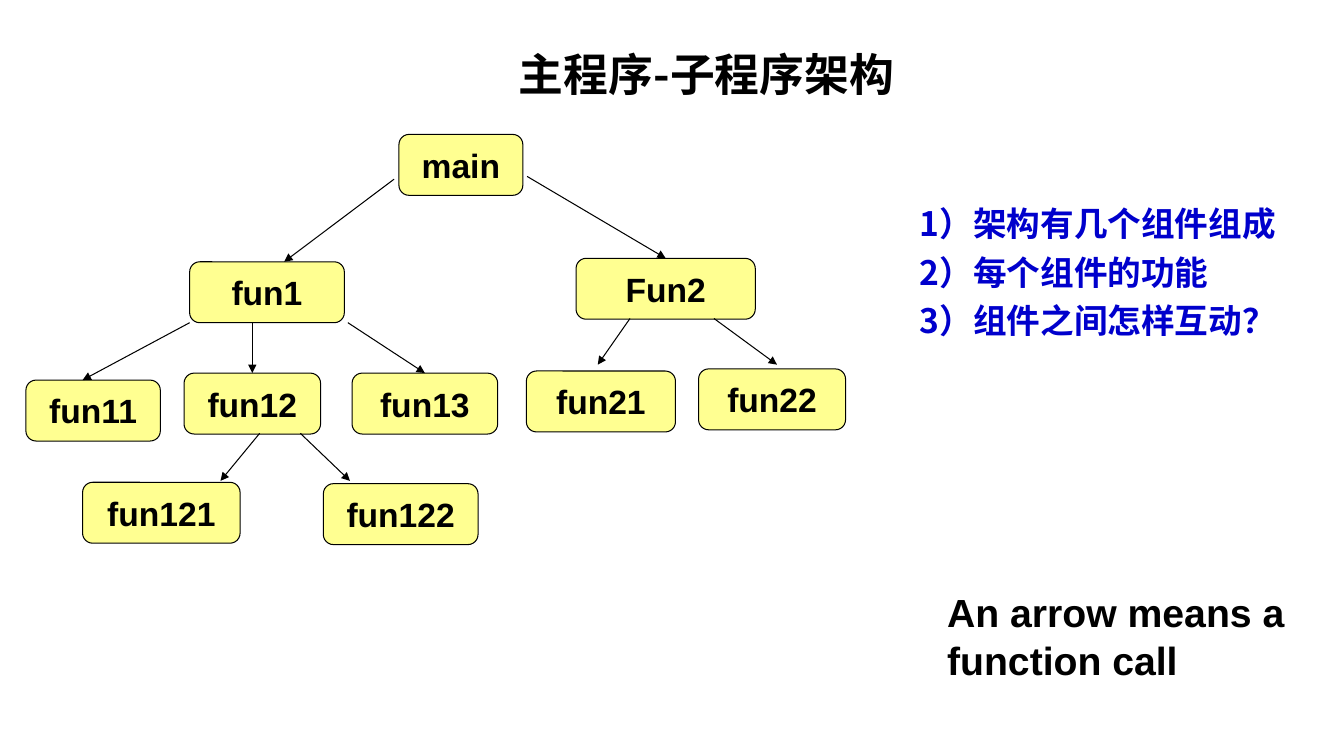
from lxml.etree import SubElement
from pptx import Presentation
from pptx.dml.color import RGBColor
from pptx.enum.shapes import MSO_CONNECTOR, MSO_SHAPE
from pptx.enum.text import MSO_ANCHOR, PP_ALIGN
from pptx.oxml.ns import qn
from pptx.util import Pt

CJK = "Noto Sans CJK SC"
BOX_HEIGHT = 43.5
TOP = 0

BOXES = {
    "main": (285, 96, 88.5),
    "fun1": (135.5, 187, 110.5),
    "Fun2": (411.5, 184.5, 128),
    "fun11": (18.5, 271.5, 96),
    "fun12": (131.5, 266.5, 97.5),
    "fun13": (251.5, 266.5, 104),
    "fun21": (376, 265, 106.5),
    "fun22": (499, 263.5, 105),
    "fun121": (59, 344.5, 112.5),
    "fun122": (231, 345.5, 110.5),
}

FREE_CALLS = [
    (281.5, 128, 203, 187),
    (135.5, 230.5, 59, 271.5),
    (450, 227.5, 427, 260.5),
    (510, 227.5, 555, 260.5),
    (185.5, 309.5, 157.5, 343.5),
    (214.5, 309.5, 250, 343.5),
]

JOINED_CALLS = [
    (376.5, 126, "Fun2"),
    (180.25, 230.5, "fun12"),
    (248.5, 230.5, "fun13"),
]


def color(value):
    return RGBColor.from_string(value)


def add_run(p, text, size, font="Arial", fill="000000"):
    r = p.add_run()
    r.text = text
    r.font.size = Pt(size)
    r.font.bold = True
    r.font.name = font
    r.font.color.rgb = color(fill)
    if font == CJK:
        SubElement(r.font._element, qn("a:ea")).set("typeface", font)


def add_box(s, name, left, top, width):
    sp = s.shapes.add_shape(
        MSO_SHAPE.ROUNDED_RECTANGLE, Pt(left), Pt(top), Pt(width), Pt(BOX_HEIGHT)
    )
    sp.shadow.inherit = False
    sp.fill.solid()
    sp.fill.fore_color.rgb = color("FFFF00")
    rgb = sp.fill._xPr.find(qn("a:solidFill"))[0]
    SubElement(rgb, qn("a:alpha")).set("val", "43000")
    sp.line.color.rgb = color("000000")
    sp.line.width = Pt(0.75)
    tf = sp.text_frame
    tf.word_wrap = False
    tf.vertical_anchor = MSO_ANCHOR.MIDDLE
    p = tf.paragraphs[0]
    p.alignment = PP_ALIGN.CENTER
    add_run(p, name, 24)
    return sp


def add_arrow(s, x1, y1, x2, y2):
    c = s.shapes.add_connector(
        MSO_CONNECTOR.STRAIGHT, Pt(x1), Pt(y1), Pt(x2), Pt(y2)
    )
    c.line.color.rgb = color("000000")
    c.line.width = Pt(0.75)
    SubElement(c.line._get_or_add_ln(), qn("a:tailEnd")).set("type", "triangle")
    SubElement(c._element.spPr, qn("a:effectLst"))
    return c


def add_title(s, text):
    sp = s.shapes.add_shape(MSO_SHAPE.RECTANGLE, Pt(314), Pt(27.5), Pt(345.5), Pt(46))
    sp.shadow.inherit = False
    sp.fill.solid()
    sp.fill.fore_color.rgb = color("FFFFFF")
    sp.line.fill.background()
    tf = sp.text_frame
    tf.word_wrap = True
    tf.vertical_anchor = MSO_ANCHOR.TOP
    p = tf.paragraphs[0]
    p.alignment = PP_ALIGN.CENTER
    p.line_spacing = Pt(41)
    p._p.get_or_add_pPr().set("marL", str(Pt(36)))
    add_run(p, text, 32, CJK)


def add_text(s, left, top, width, height):
    tf = s.shapes.add_textbox(Pt(left), Pt(top), Pt(width), Pt(height)).text_frame
    tf.word_wrap = True
    return tf


def add_questions(s, questions):
    tf = add_text(s, 650, 140.5, 279.5, 106.5)
    for i, question in enumerate(questions):
        p = tf.add_paragraph() if i else tf.paragraphs[0]
        p.line_spacing = Pt(30)
        if i:
            p.space_before = Pt(4.5)
        add_run(p, question, 24, CJK, "0000CC")


def main():
    prs = Presentation()
    prs.slide_width, prs.slide_height = Pt(960), Pt(540)
    s = prs.slides.add_slide(prs.slide_layouts[6])
    boxes = {name: add_box(s, name, *place) for name, place in BOXES.items()}
    for ends in FREE_CALLS:
        add_arrow(s, *ends)
    for x, y, callee in JOINED_CALLS:
        add_arrow(s, x, y, x, y).end_connect(boxes[callee], TOP)
    add_title(s, "主程序-子程序架构")
    add_questions(s, ["1）架构有几个组件组成", "2）每个组件的功能", "3）组件之间怎样互动？"])
    legend = add_text(s, 669.5, 417, 255, 74)
    add_run(legend.paragraphs[0], "An arrow means a function call", 28)
    prs.save("out.pptx")


if __name__ == "__main__":
    main()
